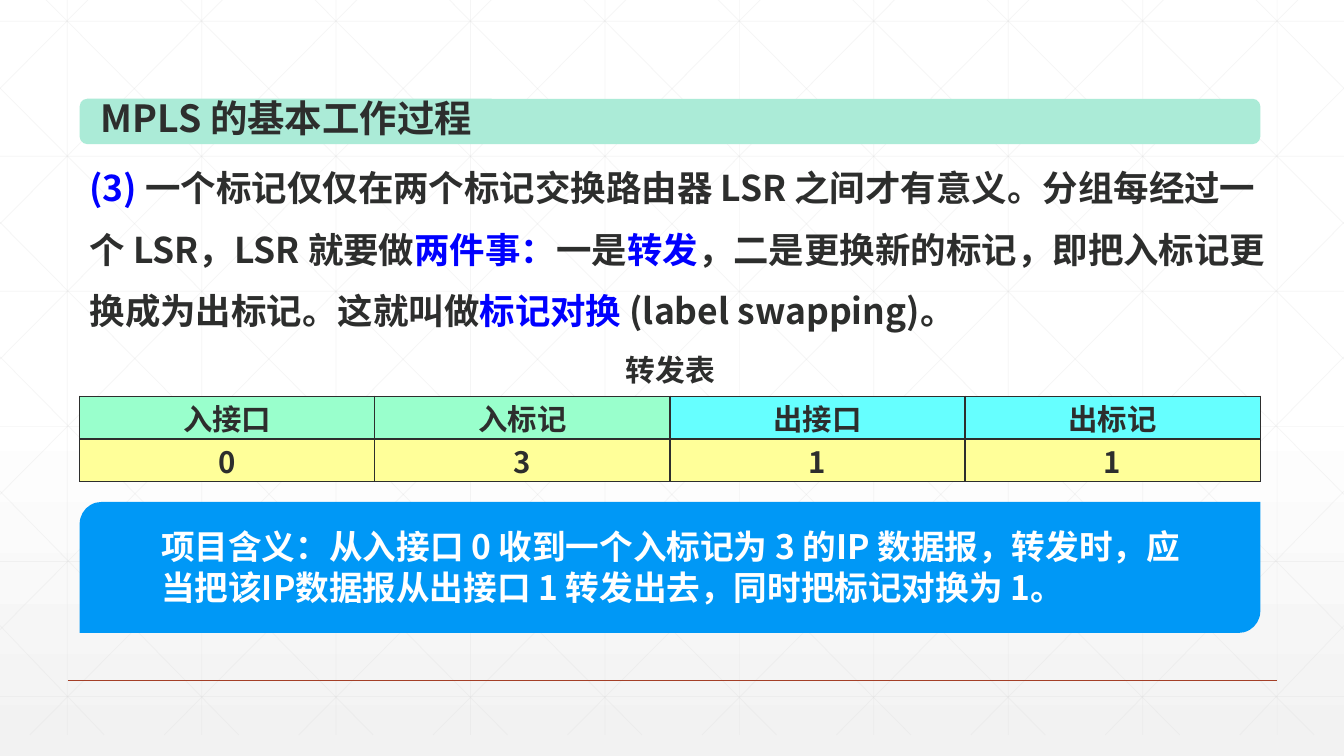
from dataclasses import dataclass

from lxml.etree import SubElement
from pptx import Presentation
from pptx.dml.color import RGBColor
from pptx.enum.shapes import MSO_CONNECTOR, MSO_SHAPE
from pptx.enum.text import MSO_ANCHOR, PP_ALIGN
from pptx.oxml.ns import qn
from pptx.util import Inches, Pt

FONT = "Noto Sans CJK SC"
WIDE, HIGH = 13.33, 7.5
TOP, LOW = -0.21, 7.29
COLORS = {
    "ink": "2D2E2D", "blue": "0000FF", "white": "FFFFFF", "fade": "F2F2F2",
    "grid": "D9D9D9", "rule": "A43F27", "mint": "ABEBD7", "panel": "0098F6",
    "green": "99FFCC", "cyan": "66FFFF", "yellow": "FFFF99",
}


@dataclass
class Box:
    left: float
    top: float
    width: float
    height: float

    def place(self) -> tuple:
        return tuple(Inches(n) for n in (self.left, self.top, self.width, self.height))


@dataclass
class Label:
    box: Box
    size: float
    texts: list[tuple[str, str]]
    wrap: bool = True
    pitch: float | None = None


@dataclass
class Panel:
    kind: MSO_SHAPE
    box: Box
    color: str


BANNER = Panel(MSO_SHAPE.ROUNDED_RECTANGLE, Box(0.79, 0.98, 11.71, 0.45), "mint")
NOTE = Panel(MSO_SHAPE.ROUND_2_DIAG_RECTANGLE, Box(0.79, 4.98, 11.71, 1.3), "panel")
LABELS = [
    Label(Box(0.9, 0.89, 3.99, 0.55), 26.7, [("MPLS 的基本工作过程", "ink")], wrap=False),
    Label(Box(0.79, 1.41, 11.87, 1.88), 25.3, [
        ("(3) ", "blue"),
        ("一个标记仅仅在两个标记交换路由器 LSR 之间才有意义。分组每经过一个 LSR，LSR 就要做", "ink"),
        ("两件事：", "blue"),
        ("一是", "ink"),
        ("转发", "blue"),
        ("，二是更换新的标记，即把入标记更换成为出标记。这就叫做", "ink"),
        ("标记对换 ", "blue"),
        ("(label swapping)。", "ink"),
    ], pitch=44),
    Label(Box(6.11, 3.44, 1.1, 0.46), 21.3, [("转发表", "ink")], wrap=False),
    Label(Box(1.5, 5.17, 10.51, 0.91), 24, [
        ("项目含义：从入接口 0 收到一个入标记为 3 的IP 数据报，转发时，"
         "应当把该IP数据报从出接口 1 转发出去，同时把标记对换为 1。", "white"),
    ]),
]
ROWS = [["入接口", "入标记", "出接口", "出标记"], ["0", "3", "1", "1"]]
FILLS = [["green", "green", "cyan", "cyan"], ["yellow"] * 4]


def tint(name: str) -> RGBColor:
    return RGBColor.from_string(COLORS[name])


def style(para, size: float, color: str) -> None:
    font = para.font
    font.size, font.bold, font.name = Pt(size), True, FONT
    font.color.rgb = tint(color)
    base = para._p.pPr.find(qn("a:defRPr"))
    SubElement(base, qn("a:ea")).set("typeface", FONT)


def draw_line(slide, x1: float, y1: float, x2: float, y2: float,
              color: str, width: float, alpha: int = 100) -> None:
    ends = [Inches(n) for n in (x1, y1, x2, y2)]
    line = slide.shapes.add_connector(MSO_CONNECTOR.STRAIGHT, *ends)
    line.line.color.rgb = tint(color)
    line.line.width = Pt(width)
    props = line._element.spPr
    SubElement(props, qn("a:effectLst"))
    if alpha < 100:
        shade = props.find(".//" + qn("a:srgbClr"))
        SubElement(shade, qn("a:alpha")).set("val", str(alpha * 1000))


def draw_grid(slide) -> None:
    look = ("grid", 0.5, 25)
    step = 4 / 3
    for i in range(10):
        x = step * (i + 0.5)
        draw_line(slide, x, TOP, x, LOW, *look)
    for i in range(6):
        y = 0.21 + 1.34 * i
        draw_line(slide, 0, y, WIDE, y, *look)
    for i in range(-5, 10):
        start = 0.25 + step * i
        x1, x2 = max(start, 0), min(start + 7.45, WIDE)
        y1, y2 = TOP + x1 - start, TOP + (x2 - start) * 7.5 / 7.45
        draw_line(slide, x1, y1, x2, y2, *look)
        draw_line(slide, WIDE - x1, y1, WIDE - x2, y2, *look)


def draw_panel(slide, panel: Panel) -> None:
    shape = slide.shapes.add_shape(panel.kind, *panel.box.place())
    shape.shadow.inherit = False
    shape.fill.solid()
    shape.fill.fore_color.rgb = tint(panel.color)
    shape.line.fill.background()


def draw_label(slide, label: Label) -> None:
    frame = slide.shapes.add_textbox(*label.box.place()).text_frame
    frame.word_wrap = label.wrap
    para = frame.paragraphs[0]
    if label.pitch:
        para.line_spacing = Pt(label.pitch)
    style(para, label.size, label.texts[0][1])
    for text, color in label.texts:
        run = para.add_run()
        run.text = text
        if len(label.texts) > 1:
            run.font.color.rgb = tint(color)


def edge_cell(cell) -> None:
    props = cell._tc.get_or_add_tcPr()
    for i, side in enumerate(("lnL", "lnR", "lnT", "lnB")):
        edge = props.makeelement(qn(f"a:{side}"), {"w": str(Pt(1))})
        fill = SubElement(edge, qn("a:solidFill"))
        SubElement(fill, qn("a:srgbClr")).set("val", COLORS["ink"])
        props.insert(i, edge)


def draw_table(slide, box: Box) -> None:
    table = slide.shapes.add_table(len(ROWS), len(ROWS[0]), *box.place()).table
    for r, row in enumerate(ROWS):
        for c, text in enumerate(row):
            cell = table.cell(r, c)
            cell.text = text
            cell.margin_top = cell.margin_bottom = 0
            cell.vertical_anchor = MSO_ANCHOR.MIDDLE
            cell.fill.solid()
            cell.fill.fore_color.rgb = tint(FILLS[r][c])
            para = cell.text_frame.paragraphs[0]
            para.alignment = PP_ALIGN.CENTER
            style(para, 21, "ink")
            edge_cell(cell)


def paint_back(slide) -> None:
    fill = slide.background.fill
    fill.gradient()
    fill.gradient_angle = 270
    for stop, (spot, color) in zip(fill.gradient_stops, [(0.53, "white"), (1, "fade")]):
        stop.position = spot
        stop.color.rgb = tint(color)


def main() -> None:
    """Build the slide on the MPLS label swapping process."""
    deck = Presentation()
    deck.slide_width, deck.slide_height = Inches(WIDE), Inches(HIGH)
    slide = deck.slides.add_slide(deck.slide_layouts[6])
    paint_back(slide)
    draw_grid(slide)
    draw_line(slide, 0.67, 6.75, 12.67, 6.75, "rule", 1)
    draw_panel(slide, BANNER)
    draw_panel(slide, NOTE)
    draw_table(slide, Box(0.79, 3.93, 11.71, 0.85))
    for label in LABELS:
        draw_label(slide, label)
    deck.save("out.pptx")


if __name__ == "__main__":
    main()
